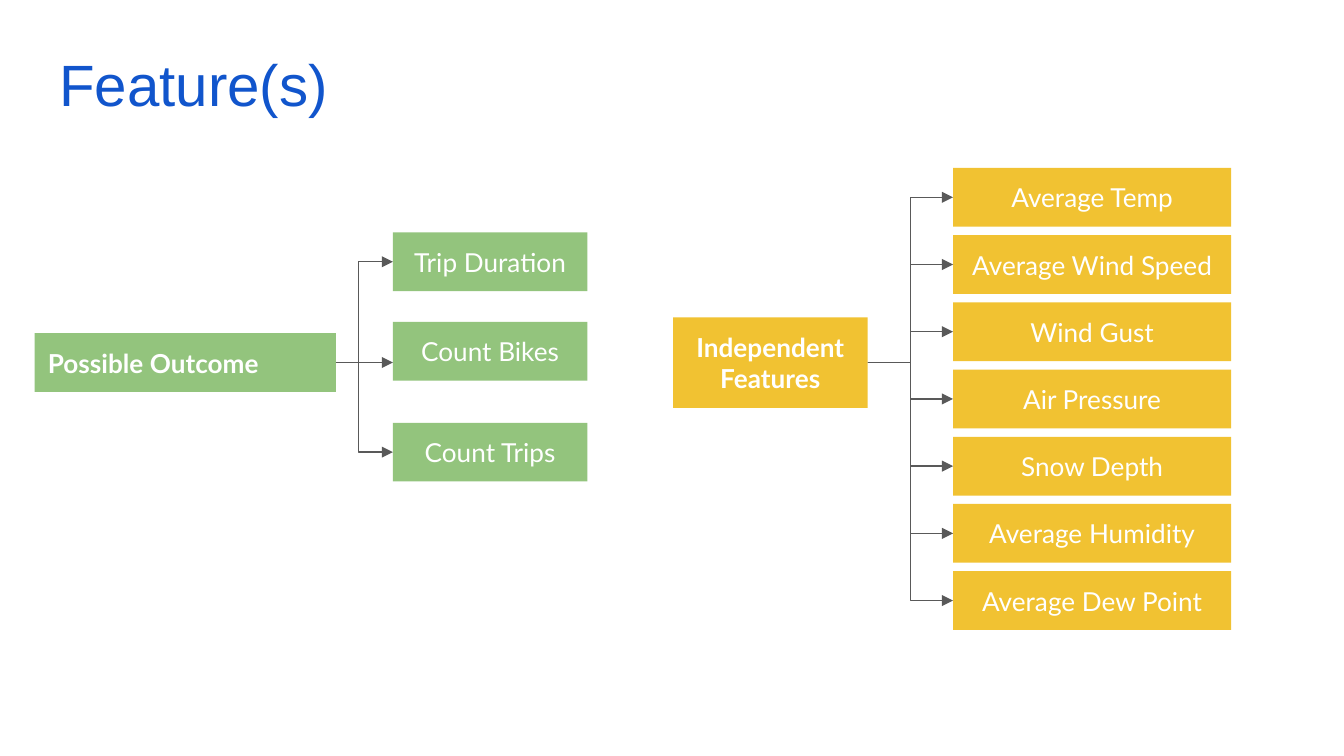
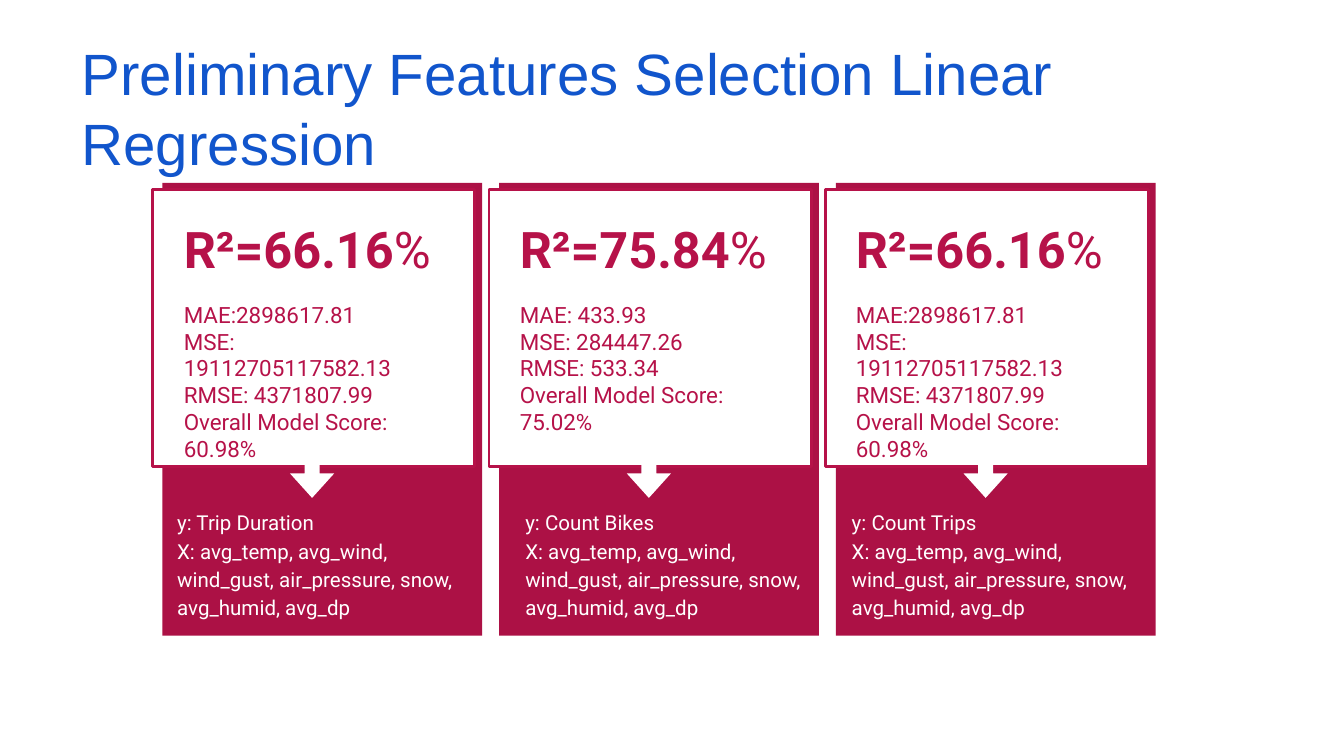
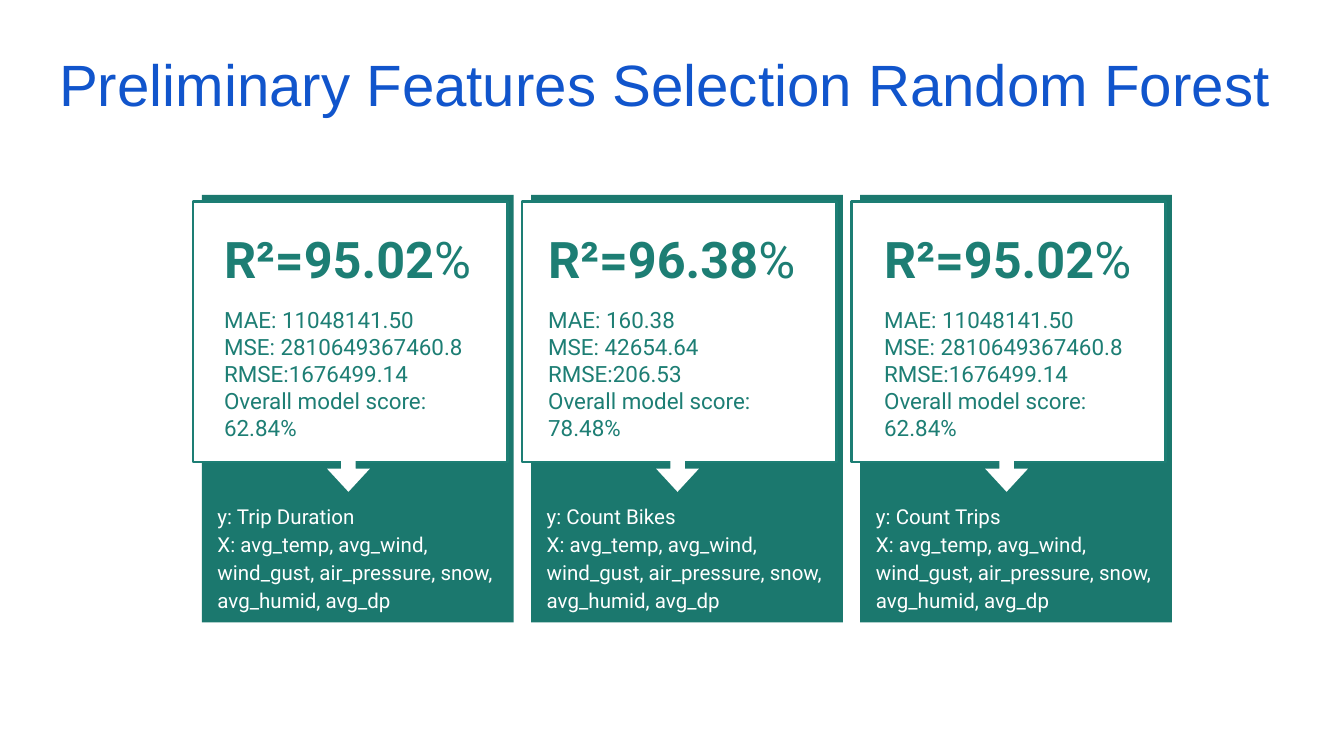
import dataclasses

import lxml.etree
import pptx
import pptx.dml.color
import pptx.enum.shapes
import pptx.enum.text
import pptx.oxml.ns
import pptx.util

Pt = pptx.util.Pt
ALIGN = pptx.enum.text.PP_ALIGN
ANCHOR = pptx.enum.text.MSO_ANCHOR
SHAPE = pptx.enum.shapes.MSO_SHAPE


@dataclasses.dataclass(frozen=True)
class Theme:
    """Colours, fonts and type sizes of the deck."""
    blue: str = "1155CC"
    white: str = "FFFFFF"
    grey: str = "595959"
    green: str = "93C47D"
    yellow: str = "F1C232"
    crimson: str = "AC1145"
    crimson_ink: str = "B61249"
    teal: str = "1B786E"
    teal_ink: str = "1D7E74"
    title_font: str = "Arial"
    node_font: str = "Lato"
    card_font: str = "Roboto"
    title_size: float = 31.2
    score_size: float = 27
    node_size: float = 14
    metric_size: float = 12
    note_size: float = 11


THEME = Theme()
FRAME = dict(margin_left=Pt(7.2), margin_right=Pt(7.2), margin_top=Pt(7.2),
             margin_bottom=Pt(7.2), word_wrap=True,
             auto_size=pptx.enum.text.MSO_AUTO_SIZE.NONE)

TARGETS = ["Trip Duration", "Count Bikes", "Count Trips"]
FEATURES = ["Average Temp", "Average Wind Speed", "Wind Gust", "Air Pressure",
            "Snow Depth", "Average Humidity", "Average Dew Point"]
INPUTS = "X: avg_temp, avg_wind, wind_gust, air_pressure, snow, avg_humid, avg_dp"

LINEAR_TRIPS = ("66.16", ["MAE:2898617.81", "MSE: 19112705117582.13",
                          "RMSE: 4371807.99", "Overall Model Score: 60.98%"])
LINEAR_BIKES = ("75.84", ["MAE: 433.93", "MSE: 284447.26", "RMSE: 533.34",
                          "Overall Model Score: 75.02%"])
FOREST_TRIPS = ("95.02", ["MAE: 11048141.50", "MSE: 2810649367460.8",
                          "RMSE:1676499.14", "Overall model score: 62.84%"])
FOREST_BIKES = ("96.38", ["MAE: 160.38", "MSE: 42654.64", "RMSE:206.53",
                          "Overall model score: 78.48%"])

LINEAR_LOOK = dict(fill=THEME.crimson, ink=THEME.crimson_ink,
                   lefts=[87, 267.4, 447.8], base=(0, 98, 171.3, 242.5),
                   panel=(-5.4, 101.6, 172.8, 148.2), arrow=(68.7, 243.4, 23, 23.7),
                   text_lefts=[91.4, 271.4, 451.4], text_width=153.4,
                   score_top=109.4, metric_top=154,
                   note_lefts=[87.8, 274.3, 449.2], note=(264.2, 171.3, 65))
FOREST_LOOK = dict(fill=THEME.teal, ink=THEME.teal_ink,
                   lefts=[108.2, 284.5, 460.8], base=(0, 104.4, 167, 229),
                   panel=(-4.8, 107.9, 168.4, 139.6), arrow=(67.6, 241.2, 21.7, 22.9),
                   text_lefts=[113, 286.6, 466.6], text_width=149,
                   score_top=115.2, metric_top=157,
                   note_lefts=[109.4, 285.8, 462.2], note=(260.6, 167, 61.2))


def rgb(value):
    """Return a colour object for a hex string."""
    return pptx.dml.color.RGBColor.from_string(value)


def apply(obj, formats):
    """Set each named attribute on an object."""
    for name, value in formats.items():
        setattr(obj, name, value)


def points(box):
    """Convert a sequence of point values to lengths."""
    return [Pt(v) for v in box]


def write(tf, paragraphs, color, font, anchor=ANCHOR.TOP, **layout):
    """Fill a text frame with paragraphs, each a list of (text, bold) runs."""
    apply(tf, dict(FRAME, vertical_anchor=anchor))
    for i, runs in enumerate(paragraphs):
        p = tf.add_paragraph() if i else tf.paragraphs[0]
        apply(p, layout)
        for text, bold in runs:
            r = p.add_run()
            r.text = text
            apply(r.font, dict(font, bold=bold))
            r.font.color.rgb = rgb(color)


def add_text(s, box, paragraphs, color, size, **layout):
    """Add a text box in the card font."""
    tf = s.shapes.add_textbox(*points(box)).text_frame
    write(tf, paragraphs, color, dict(name=THEME.card_font, size=Pt(size)), **layout)


def add_block(s, box, fill, kind=SHAPE.RECTANGLE, line=None):
    """Add a flat filled shape, outlined only if a line colour is given."""
    sp = s.shapes.add_shape(kind, *points(box))
    sp.shadow.inherit = False
    sp.fill.solid()
    sp.fill.fore_color.rgb = rgb(fill)
    if line:
        sp.line.color.rgb = rgb(line)
        sp.line.width = Pt(1.5)
    else:
        sp.line.fill.background()
    return sp


def add_node(s, box, text, fill, bold=False, align=ALIGN.CENTER):
    """Add a labelled box of a tree."""
    sp = add_block(s, box, fill)
    write(sp.text_frame, [[(text, bold)]], THEME.white,
          dict(name=THEME.node_font, size=Pt(THEME.node_size)),
          anchor=ANCHOR.MIDDLE, alignment=align)


def add_arrow(s, start, end, bend):
    """Add an arrow that turns at the given fraction of its width."""
    kinds = pptx.enum.shapes.MSO_CONNECTOR
    kind = kinds.STRAIGHT if start[1] == end[1] else kinds.ELBOW
    c = s.shapes.add_connector(kind, *points(start + end))
    c.line.color.rgb = rgb(THEME.grey)
    c.line.width = Pt(0.75)
    qn = pptx.oxml.ns.qn
    sub = lxml.etree.SubElement
    sppr = c._element.spPr
    sub(sppr.find(qn("a:ln")), qn("a:tailEnd"), type="triangle")
    sub(sppr, qn("a:effectLst"))
    if kind == kinds.ELBOW:
        sub(sppr.find(qn("a:prstGeom")).find(qn("a:avLst")), qn("a:gd"),
            name="adj1", fmla=f"val {round(bend * 100000)}")


def add_tree(s, root, label, fill, leaves, left, width, tops, ends, bend,
             align=ALIGN.CENTER):
    """Add a root box, its leaf boxes and the arrows between them."""
    height = 31.5
    add_node(s, root, label, fill, bold=True, align=align)
    start = (root[0] + root[2], root[1] + root[3] / 2)
    for leaf, top, end in zip(leaves, tops, ends):
        add_node(s, (left, top, width, height), leaf, fill)
        add_arrow(s, start, (left, end), bend)


def add_card(s, look, i, target, result):
    """Add one model card with its score, metrics and variables."""
    def place(box):
        return (look["lefts"][i] + box[0],) + box[1:]

    ink = look["ink"]
    score, metrics = result
    add_block(s, place(look["base"]), look["fill"])
    add_block(s, place(look["panel"]), THEME.white, line=ink)
    arrow = add_block(s, place(look["arrow"]), THEME.white, SHAPE.RIGHT_ARROW)
    arrow.rotation = 90
    arrow.adjustments[0], arrow.adjustments[1] = 0.34, 0.57
    left, width = look["text_lefts"][i], look["text_width"]
    add_text(s, (left, look["score_top"], width, 40),
             [[("R²=" + score, True), ("%", False)]], ink, THEME.score_size)
    add_text(s, (left, look["metric_top"], width, 83),
             [[(m, False)] for m in metrics], ink, THEME.metric_size)
    add_text(s, (look["note_lefts"][i],) + look["note"][:1] + look["note"][1:],
             [[("y: " + target, False)], [(INPUTS, False)]],
             THEME.white, THEME.note_size, line_spacing=1.15)


def add_slide(prs, title, box=(24.5, 18.8, 671, 70.5)):
    """Add a slide with its title."""
    s = prs.slides.add_slide(prs.slide_layouts[5])
    sp = s.shapes.title
    apply(sp, dict(zip(("left", "top", "width", "height"), points(box))))
    write(sp.text_frame, [[(title, False)]], THEME.blue,
          dict(name=THEME.title_font, size=Pt(THEME.title_size)),
          alignment=ALIGN.LEFT)
    return s


def add_cards(s, look, results):
    """Add a row of model cards, one for each target."""
    for i, (target, result) in enumerate(zip(TARGETS, results)):
        add_card(s, look, i, target, result)


def main():
    """Build and save the deck."""
    prs = pptx.Presentation()
    apply(prs, dict(slide_width=Pt(720), slide_height=Pt(405)))

    s = add_slide(prs, "Feature(s)")
    add_tree(s, (18.6, 178.5, 161.4, 31.5), "Possible Outcome", THEME.green,
             TARGETS, 210.5, 104.2, tops=[124.5, 172.5, 226.5],
             ends=[140.25, 194.25, 242.25], bend=0.4, align=ALIGN.LEFT)
    tops = [90 + 36 * i for i in range(len(FEATURES))]
    add_tree(s, (360.6, 170, 104.2, 48.5), "Independent Features", THEME.yellow,
             FEATURES, 510.6, 149, tops=tops,
             ends=[top + 15.75 for top in tops], bend=0.5)

    s = add_slide(prs, "Preliminary Features Selection Linear Regression",
                  (36.5, 13, 604, 59))
    add_cards(s, LINEAR_LOOK, [LINEAR_TRIPS, LINEAR_BIKES, LINEAR_TRIPS])

    s = add_slide(prs, "Preliminary Features Selection Random Forest")
    add_cards(s, FOREST_LOOK, [FOREST_TRIPS, FOREST_BIKES, FOREST_TRIPS])

    prs.save("out.pptx")


if __name__ == "__main__":
    main()
